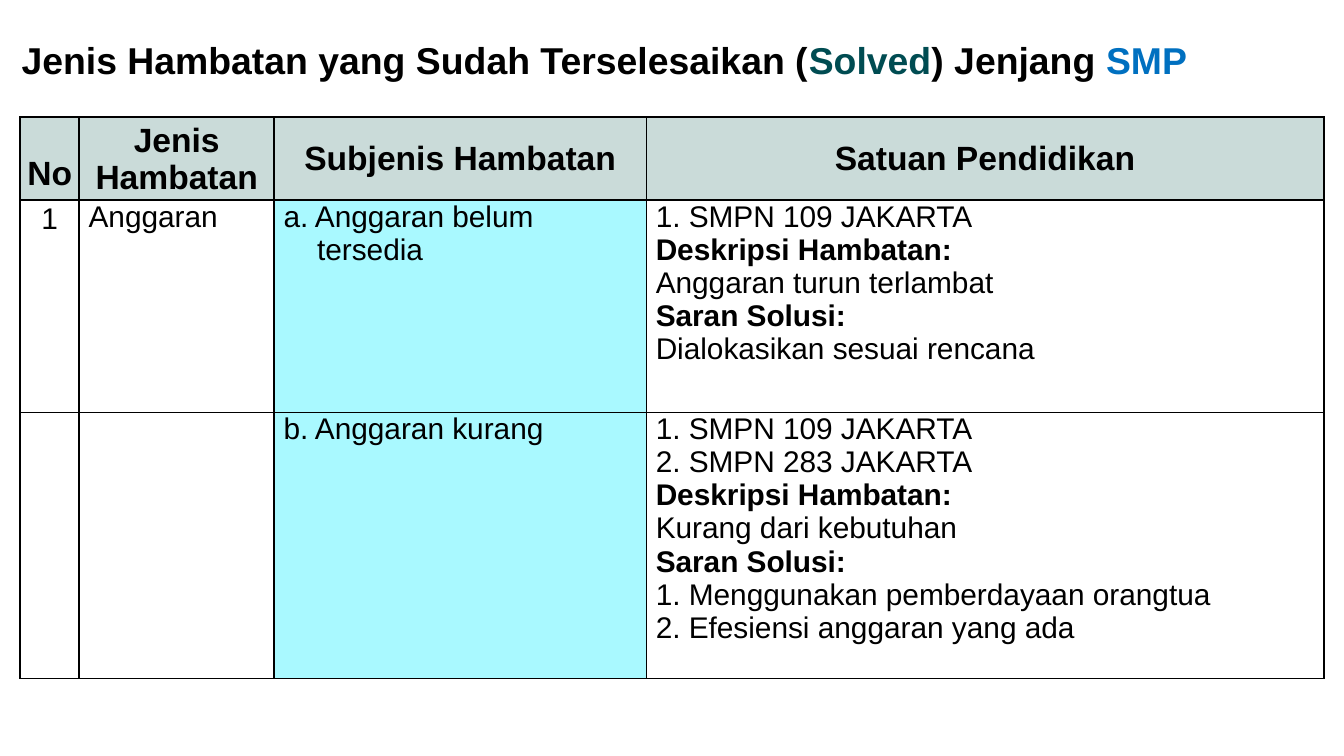
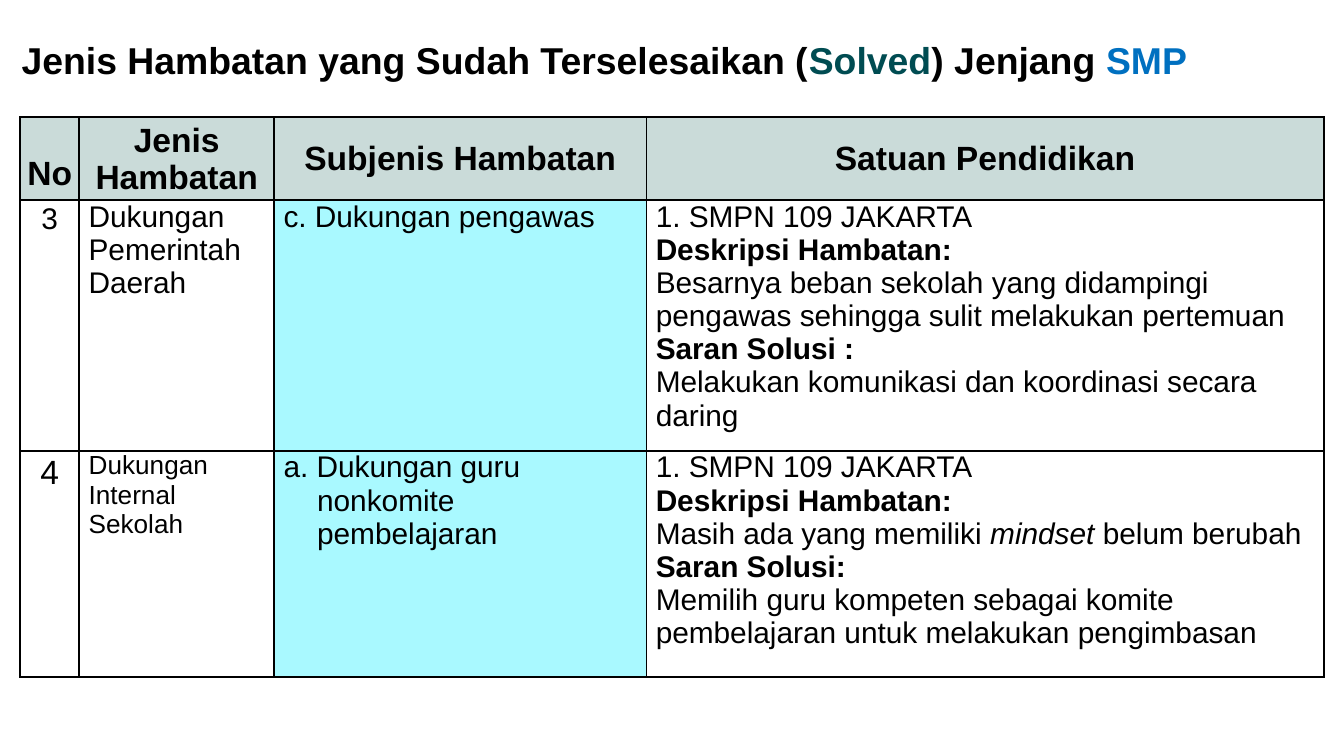
from dataclasses import dataclass

from lxml.etree import SubElement
from pptx import Presentation
from pptx.dml.color import RGBColor
from pptx.enum.text import MSO_ANCHOR, PP_ALIGN
from pptx.oxml.ns import qn
from pptx.util import Inches, Pt

FONT = "Arial"
BLACK = "000000"
TEAL = "004C52"
BLUE = "0070C0"
HEADER_FILL = "CADBD9"
SUBTYPE_FILL = "A9F9FF"

COLUMN_WIDTHS = (0.44, 1.45, 2.77, 5.04)
HEADINGS = ("No", "Jenis Hambatan", "Subjenis Hambatan", "Satuan Pendidikan")
HEADER_HEIGHT = 0.62
HEADER_LINE = 0.28
HANGING = 0.25


@dataclass(frozen=True)
class Words:
    text: str
    bold: bool = False
    italic: bool = False
    color: str = BLACK


Line = tuple[Words, ...]


@dataclass(frozen=True)
class Obstacle:
    height: float
    number: str
    kind: str
    subtype: str
    details: tuple[Line, ...]
    number_size: int = 16
    kind_size: int = 16
    hanging: bool = False


def plain(text: str) -> Line:
    return (Words(text),)


def strong(text: str) -> Line:
    return (Words(text, bold=True),)


TITLE: Line = (
    Words("Jenis Hambatan yang Sudah Terselesaikan (", bold=True),
    Words("Solved", bold=True, color=TEAL),
    Words(") Jenjang ", bold=True),
    Words("SMP", bold=True, color=BLUE),
)
SCHOOL_109 = plain("1. SMPN 109 JAKARTA")
DESCRIPTION = strong("Deskripsi Hambatan:")
SOLUTION = strong("Saran Solusi:")

SLIDES = (
    (
        Obstacle(1.58, "1", "Anggaran", "a. Anggaran belum tersedia", (
            SCHOOL_109,
            DESCRIPTION,
            plain("Anggaran turun terlambat"),
            SOLUTION,
            plain("Dialokasikan sesuai rencana"),
        ), hanging=True),
        Obstacle(1.98, "", "", "b. Anggaran kurang", (
            SCHOOL_109,
            plain("2. SMPN 283 JAKARTA"),
            DESCRIPTION,
            plain("Kurang dari kebutuhan"),
            SOLUTION,
            plain("1. Menggunakan pemberdayaan orangtua"),
            plain("2. Efesiensi anggaran yang ada"),
        )),
    ),
    (
        Obstacle(1.58, "3", "Dukungan Pemerintah Daerah", "c. Dukungan pengawas", (
            SCHOOL_109,
            DESCRIPTION,
            plain("Besarnya beban sekolah yang didampingi pengawas "
                  "sehingga sulit melakukan pertemuan"),
            strong("Saran Solusi :"),
            plain("Melakukan komunikasi dan koordinasi secara daring"),
        )),
        Obstacle(1.68, "4", "Dukungan Internal Sekolah",
                 "a. Dukungan guru nonkomite pembelajaran", (
            SCHOOL_109,
            DESCRIPTION,
            (Words("Masih ada yang memiliki "), Words("mindset ", italic=True),
             Words("belum berubah")),
            SOLUTION,
            plain("Memilih guru kompeten sebagai komite pembelajaran "
                  "untuk melakukan pengimbasan"),
        ), number_size=18, kind_size=14, hanging=True),
    ),
)


def rgb(color: str) -> RGBColor:
    return RGBColor.from_string(color)


def write_line(paragraph, line: Line, size: int, align=PP_ALIGN.LEFT) -> None:
    paragraph.alignment = align
    paragraph.font.size = Pt(size)
    for words in line:
        run = paragraph.add_run()
        run.text = words.text
        run.font.name = FONT
        run.font.size = Pt(size)
        run.font.bold = words.bold
        run.font.italic = words.italic
        run.font.color.rgb = rgb(words.color)


def set_margins(target, left: float, top: float, right: float, bottom: float) -> None:
    """Set the inner margins, in inches, of a cell or a text frame."""
    target.margin_left, target.margin_top = Inches(left), Inches(top)
    target.margin_right, target.margin_bottom = Inches(right), Inches(bottom)


def add_borders(cell) -> None:
    properties = cell._tc.get_or_add_tcPr()
    for side in ("lnL", "lnR", "lnT", "lnB"):
        border = SubElement(properties, qn(f"a:{side}"), w=str(Pt(1)))
        fill = SubElement(border, qn("a:solidFill"))
        SubElement(fill, qn("a:srgbClr"), val=BLACK)


def write_cell(cell, lines: tuple[Line, ...], size: int, fill: str = "",
               align=PP_ALIGN.LEFT) -> None:
    add_borders(cell)
    if fill:
        cell.fill.solid()
        cell.fill.fore_color.rgb = rgb(fill)
    else:
        cell.fill.background()
    set_margins(cell, 0.07, 0, 0.07, 0)
    frame = cell.text_frame
    for index, line in enumerate(lines):
        paragraph = frame.add_paragraph() if index else frame.paragraphs[0]
        write_line(paragraph, line, size, align)


def write_header(cells) -> None:
    for cell, heading in zip(cells, HEADINGS):
        write_cell(cell, (strong(heading),), 18, HEADER_FILL, PP_ALIGN.CENTER)
        set_margins(cell, 0.01, 0.01, 0.01, 0)
        cell.vertical_anchor = MSO_ANCHOR.MIDDLE
    number = cells[0]
    number.vertical_anchor = MSO_ANCHOR.TOP
    set_margins(number, 0, HEADER_LINE, 0, 0)


def write_obstacle(cells, obstacle: Obstacle) -> None:
    number, kind, subtype, details = cells
    number_line = plain(obstacle.number) if obstacle.number else ()
    kind_line = plain(obstacle.kind) if obstacle.kind else ()
    write_cell(number, (number_line,), obstacle.number_size, align=PP_ALIGN.CENTER)
    set_margins(number, 0, 0, 0, 0)
    number.text_frame.paragraphs[0].line_spacing = 1.07
    write_cell(kind, (kind_line,), obstacle.kind_size)
    write_cell(subtype, (plain(obstacle.subtype),), 16, SUBTYPE_FILL)
    if obstacle.hanging:
        properties = subtype.text_frame.paragraphs[0]._p.get_or_add_pPr()
        properties.set("marL", str(Inches(HANGING)))
        properties.set("indent", str(-Inches(HANGING)))
    write_cell(details, obstacle.details, 16)


def add_title(slide) -> None:
    box = slide.shapes.add_textbox(Inches(0.09), Inches(0.01), Inches(9.25), Inches(0.91))
    frame = box.text_frame
    frame.word_wrap = True
    frame.vertical_anchor = MSO_ANCHOR.MIDDLE
    set_margins(frame, 0.07, 0.04, 0.07, 0.04)
    write_line(frame.paragraphs[0], TITLE, 20)
    frame.paragraphs[0].line_spacing = 0.9


def add_obstacle_table(slide, obstacles: tuple[Obstacle, ...]) -> None:
    heights = (HEADER_HEIGHT, *(obstacle.height for obstacle in obstacles))
    table = slide.shapes.add_table(
        len(heights), len(COLUMN_WIDTHS), Inches(0.15), Inches(0.87),
        Inches(sum(COLUMN_WIDTHS)), Inches(sum(heights))).table
    table.first_row = False
    table.horz_banding = False
    for column, width in zip(table.columns, COLUMN_WIDTHS):
        column.width = Inches(width)
    for row, height in zip(table.rows, heights):
        row.height = Inches(height)
    header, *body = (tuple(row.cells) for row in table.rows)
    write_header(header)
    for cells, obstacle in zip(body, obstacles):
        write_obstacle(cells, obstacle)


def main() -> None:
    deck = Presentation()
    deck.slide_width = Inches(10)
    deck.slide_height = Inches(10 * 9 / 16)
    blank = deck.slide_layouts[6]
    for obstacles in SLIDES:
        slide = deck.slides.add_slide(blank)
        add_title(slide)
        add_obstacle_table(slide, obstacles)
    deck.save("out.pptx")


if __name__ == "__main__":
    main()
